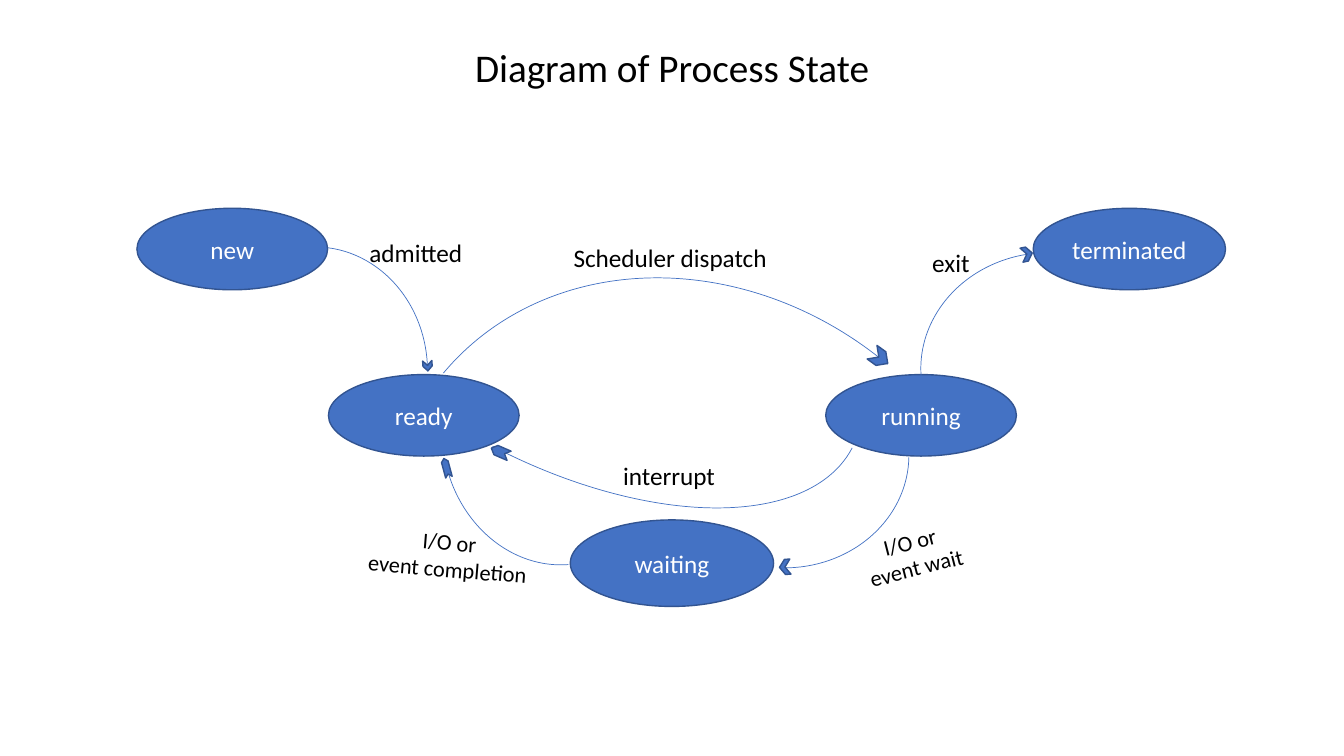
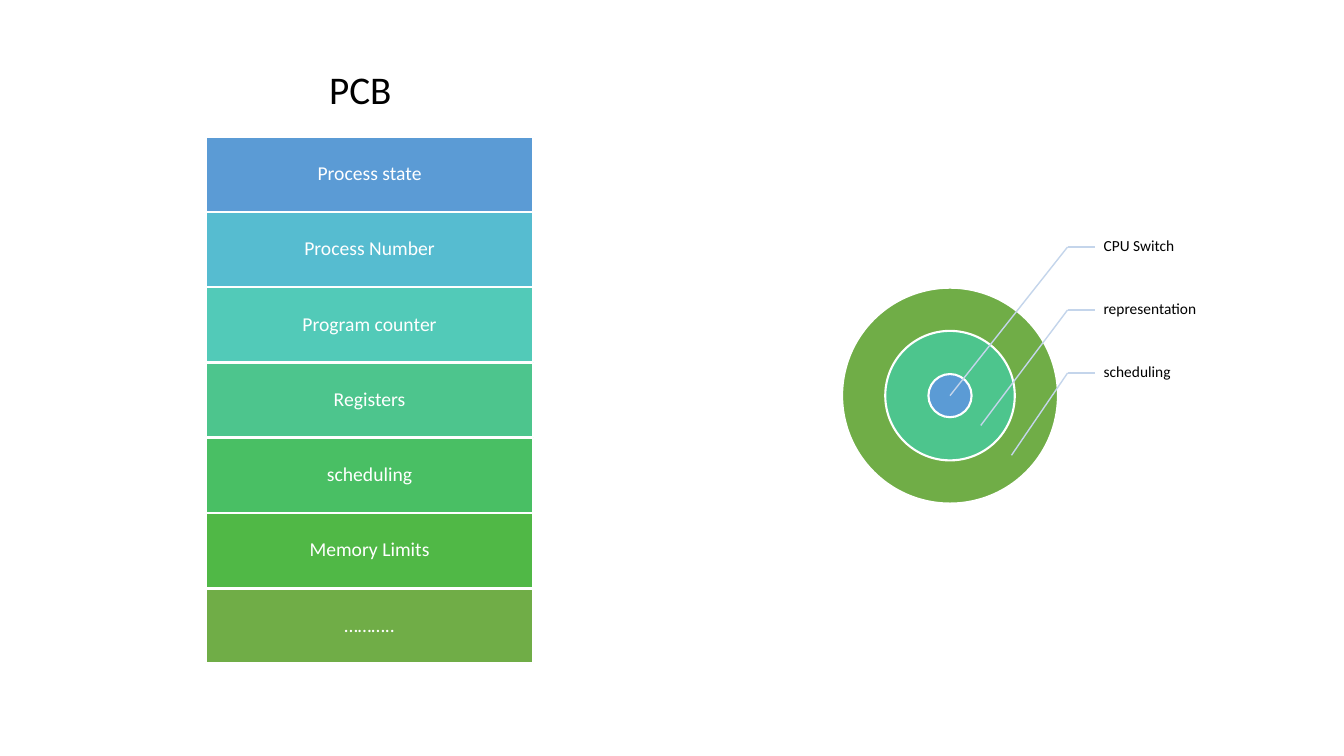
from dataclasses import dataclass
from typing import NamedTuple, Optional

from lxml.etree import SubElement
from pptx import Presentation
from pptx.dml.color import RGBColor
from pptx.enum.shapes import MSO_CONNECTOR as Conn, MSO_SHAPE as Geo
from pptx.enum.text import MSO_ANCHOR as Anchor, PP_ALIGN as Align
from pptx.oxml.ns import qn
from pptx.util import Inches, Pt

# The slide is a grid of 160 columns by 90 rows of square cells
COLS, ROWS = 160, 90
CELL = Inches(7.5) / ROWS


@dataclass(frozen=True)
class Theme:
    font: str = "Calibri"
    black: str = "000000"
    white: str = "FFFFFF"
    blue: str = "4472C4"
    outline: str = "325491"
    leader: str = "C4D5EB"
    bars: tuple = ("5B9BD5", "56BCD0", "52CAB8", "4DC58D", "49BF64", "50B846", "70AD47")
    rings: tuple = ("5B9BD5", "4DC58D", "70AD47")
    title: int = 28
    body: int = 18
    note: int = 16
    bar_text: int = 14
    small: int = 11


THEME = Theme()


class Box(NamedTuple):
    col: float
    row: float
    cols: float
    rows: float


class State(NamedTuple):
    name: str
    box: Box


class Transition(NamedTuple):
    arc: Box
    turn: float
    start: float
    head: Box
    head_turn: float


class Label(NamedTuple):
    text: str
    box: Box
    size: int = THEME.body
    align: Align = Align.LEFT
    turn: float = 0


def cells(n: float) -> int:
    return round(n * CELL)


# Drawing functions
def write(sp, text: str, *, size: int, color: str = THEME.black, align=Align.LEFT,
          anchor=Anchor.MIDDLE, spacing: float = 1.0, insets: Optional[tuple] = None) -> None:
    """Fill a shape with text, one paragraph a line."""
    tf = sp.text_frame
    tf.word_wrap = True
    tf.vertical_anchor = anchor
    if insets:
        tf.margin_left, tf.margin_top, tf.margin_right, tf.margin_bottom = map(Inches, insets)
    for i, line in enumerate(text.split("\n")):
        p = tf.paragraphs[0] if i == 0 else tf.add_paragraph()
        p.alignment = align
        p.line_spacing = spacing
        r = p.add_run()
        r.text = line
        r.font.name = THEME.font
        r.font.size = Pt(size)
        r.font.color.rgb = RGBColor.from_string(color)


def add_text(s, box: Box, text: str, turn: float = 0, **fmt) -> None:
    sp = s.shapes.add_textbox(*map(cells, box))
    sp.rotation = turn
    write(sp, text, **fmt)


def add_title(s, box: Box, text: str, align=Align.LEFT) -> None:
    add_text(s, box, text, size=THEME.title, align=align, spacing=0.9)


def add_shape(s, geo, box: Box, *, fill: Optional[str] = THEME.blue,
              line: str = THEME.outline, width: float = 1, turn: float = 0):
    sp = s.shapes.add_shape(geo, *map(cells, box))
    sp.shadow.inherit = False
    sp.rotation = turn
    if fill:
        sp.fill.solid()
        sp.fill.fore_color.rgb = RGBColor.from_string(fill)
    else:
        sp.fill.background()
    sp.line.color.rgb = RGBColor.from_string(line)
    sp.line.width = Pt(width)
    return sp


def add_line(s, x1: float, y1: float, x2: float, y2: float) -> None:
    cn = s.shapes.add_connector(Conn.STRAIGHT, *map(cells, (x1, y1, x2, y2)))
    cn.line.color.rgb = RGBColor.from_string(THEME.leader)
    cn.line.width = Pt(1)
    SubElement(cn._element.spPr, qn("a:effectLst"))


def add_transition(s, t: Transition) -> None:
    arc = add_shape(s, Geo.ARC, t.arc, fill=None, line=THEME.blue, width=0.5, turn=t.turn)
    arc.adjustments[0] = t.start * 0.6  # degrees to 60000ths, scaled by 100000
    add_shape(s, Geo.CHEVRON, t.head, turn=t.head_turn)


# Process state diagram
STATES = (
    State("new", Box(16.3, 24.8, 22.7, 9.7)),
    State("running", Box(98.3, 44.6, 22.7, 9.7)),
    State("terminated", Box(123, 24.8, 22.9, 9.7)),
    State("ready", Box(39.1, 44.6, 22.7, 9.7)),
    State("waiting", Box(67.9, 61.9, 24.2, 10.3)),
)
TRANSITIONS = (
    Transition(Box(24.1, 29.4, 26.8, 29.6), 0, 276, Box(50.3, 43, 1.2, 1.1), 85.8),
    Transition(Box(52.7, 36.8, 26.8, 30.5), 169.1, 275, Box(52, 55.3, 2.3, 0.8), 254.9),
    Transition(Box(111, 28.7, 26.8, 29.6), 262.3, 273, Box(121.6, 29.4, 1.3, 1.7), 348.1),
    Transition(Box(80, 39.4, 26.8, 29.6), 90, 271, Box(92.8, 66.6, 1.3, 1.8), 175.8),
    Transition(Box(48.7, 30.1, 69.4, 79.8), 309.9, 270, Box(103.6, 41.6, 2.3, 2), 35.7),
    Transition(Box(48.1, -2.3, 39.2, 76.1), 117.5, 270, Box(58.4, 53.2, 2.3, 1.2), 203.3),
)
LABELS = (
    Label("admitted", Box(42.8, 27.7, 15.5, 4.8)),
    Label("Scheduler dispatch", Box(67.1, 28.2, 25.9, 4.8)),
    Label("exit", Box(109.8, 28.8, 15.5, 4.8)),
    Label("interrupt", Box(73, 54.2, 26.8, 4.8)),
    Label("I/O or\nevent completion", Box(37.1, 62.3, 32.6, 7.7), THEME.note, Align.CENTER, 4.7),
    Label("I/O or\nevent wait", Box(92.4, 62.2, 32.6, 7.7), THEME.note, Align.CENTER, 345.6),
)


def build_states(s) -> None:
    add_title(s, Box(50.9, 4.3, 58.2, 8), "Diagram of Process State", Align.CENTER)
    for state in STATES:
        sp = add_shape(s, Geo.OVAL, state.box)
        write(sp, state.name, size=THEME.body, color=THEME.white, align=Align.CENTER)
    for t in TRANSITIONS:
        add_transition(s, t)
    for lb in LABELS:
        add_text(s, lb.box, lb.text, lb.turn, size=lb.size, align=lb.align, anchor=Anchor.TOP)


# Process control block
FIELDS = ("Process state", "Process Number", "Program counter", "Registers",
          "scheduling", "Memory Limits", "………..")
TOPICS = ("CPU Switch", "representation", "scheduling")


def build_fields(s) -> None:
    for i, (field, color) in enumerate(zip(FIELDS, THEME.bars)):
        sp = add_shape(s, Geo.RECTANGLE, Box(24.5, 16.3 + 8.96 * i, 39, 8.9),
                       fill=color, line=THEME.white, width=1.5)
        write(sp, field, size=THEME.bar_text, color=THEME.white, align=Align.CENTER,
              spacing=0.9, insets=(0.04,) * 4)


def build_target(s) -> None:
    x, y, core = 113.1, 47.1, 5.14
    # Rings, outermost first
    for i in reversed(range(len(THEME.rings))):
        d = core * (2 * i + 1)
        add_shape(s, Geo.OVAL, Box(x - d / 2, y - d / 2, d, d),
                  fill=THEME.rings[i], line=THEME.white, width=1.5)
    # Leaders and their labels
    elbow, label_col, pitch = 127.1, 130.3, 7.5
    for i, topic in enumerate(TOPICS):
        row = 29.4 + pitch * i
        add_text(s, Box(label_col, row - pitch / 2, 12.8, pitch), topic, size=THEME.small,
                 spacing=0.9, insets=(0.09, 0.02, 0.02, 0.02))
        add_line(s, elbow, row, label_col, row)
        add_line(s, elbow, row, x + 3.66 * i, y + 3.55 * i)


def build_pcb(s) -> None:
    add_title(s, Box(38, 6.1, 12, 9.7), "PCB")
    build_fields(s)
    build_target(s)


def main() -> None:
    prs = Presentation()
    prs.slide_width, prs.slide_height = cells(COLS), cells(ROWS)
    for build in (build_states, build_pcb):
        build(prs.slides.add_slide(prs.slide_layouts[6]))
    prs.save("out.pptx")


if __name__ == "__main__":
    main()
